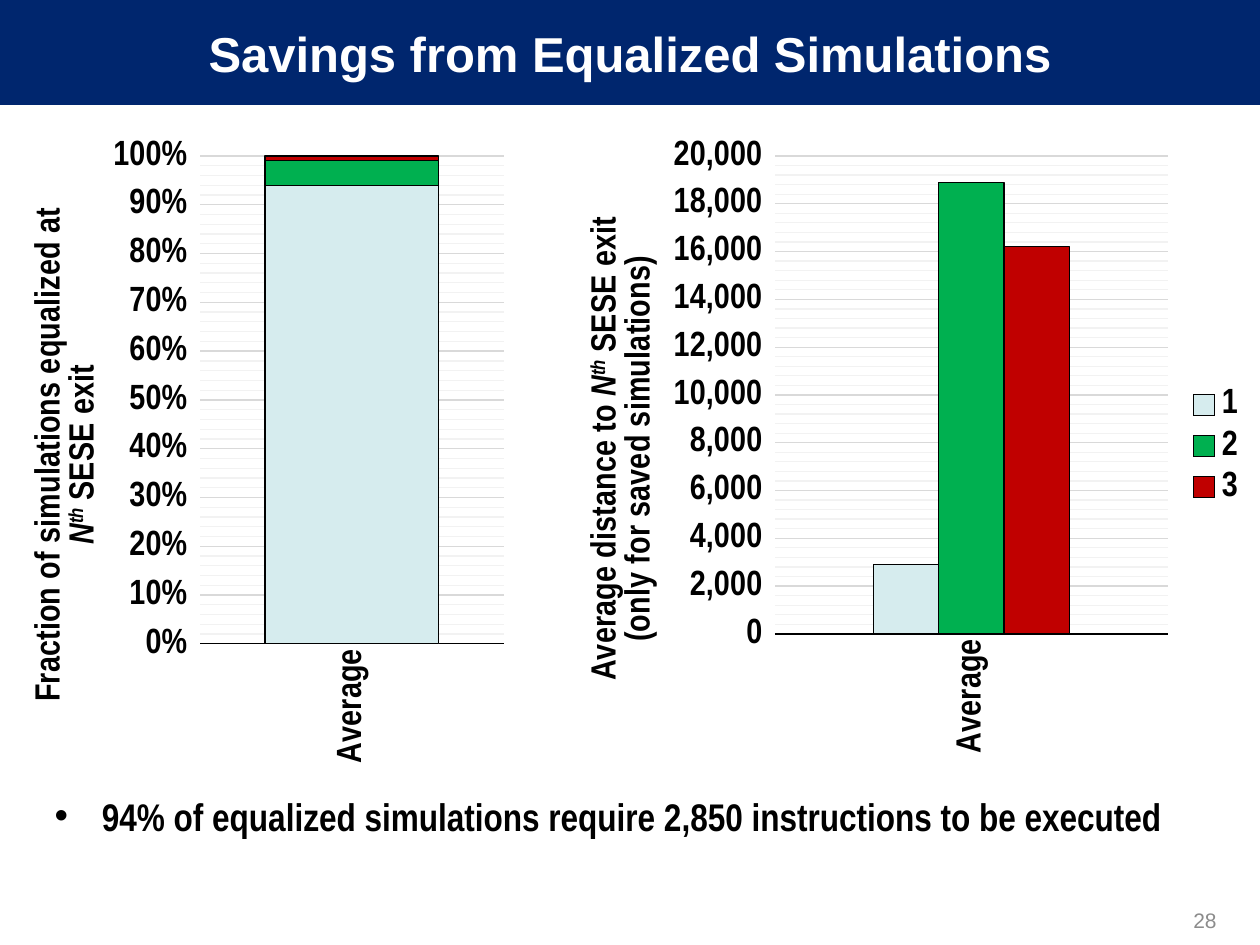
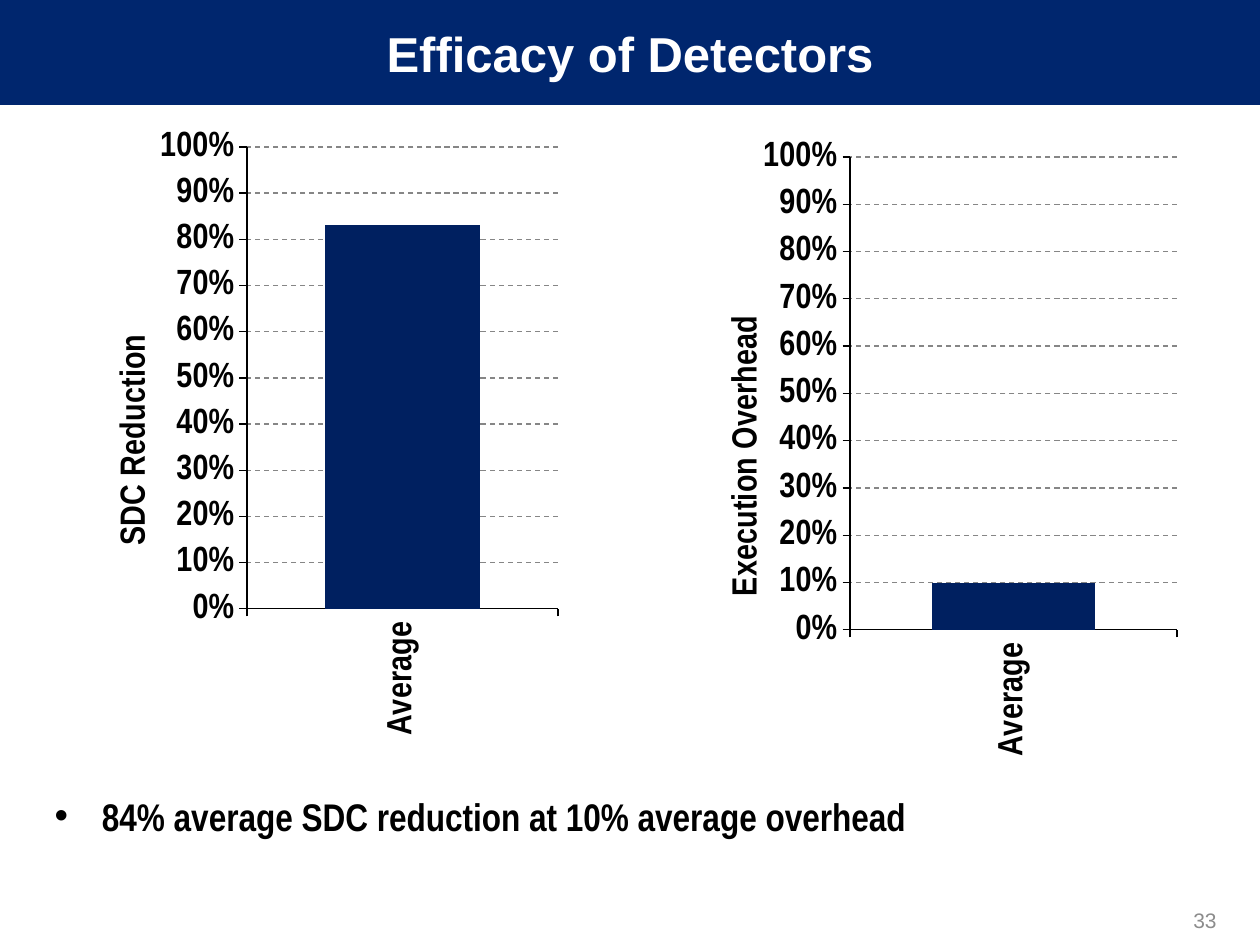
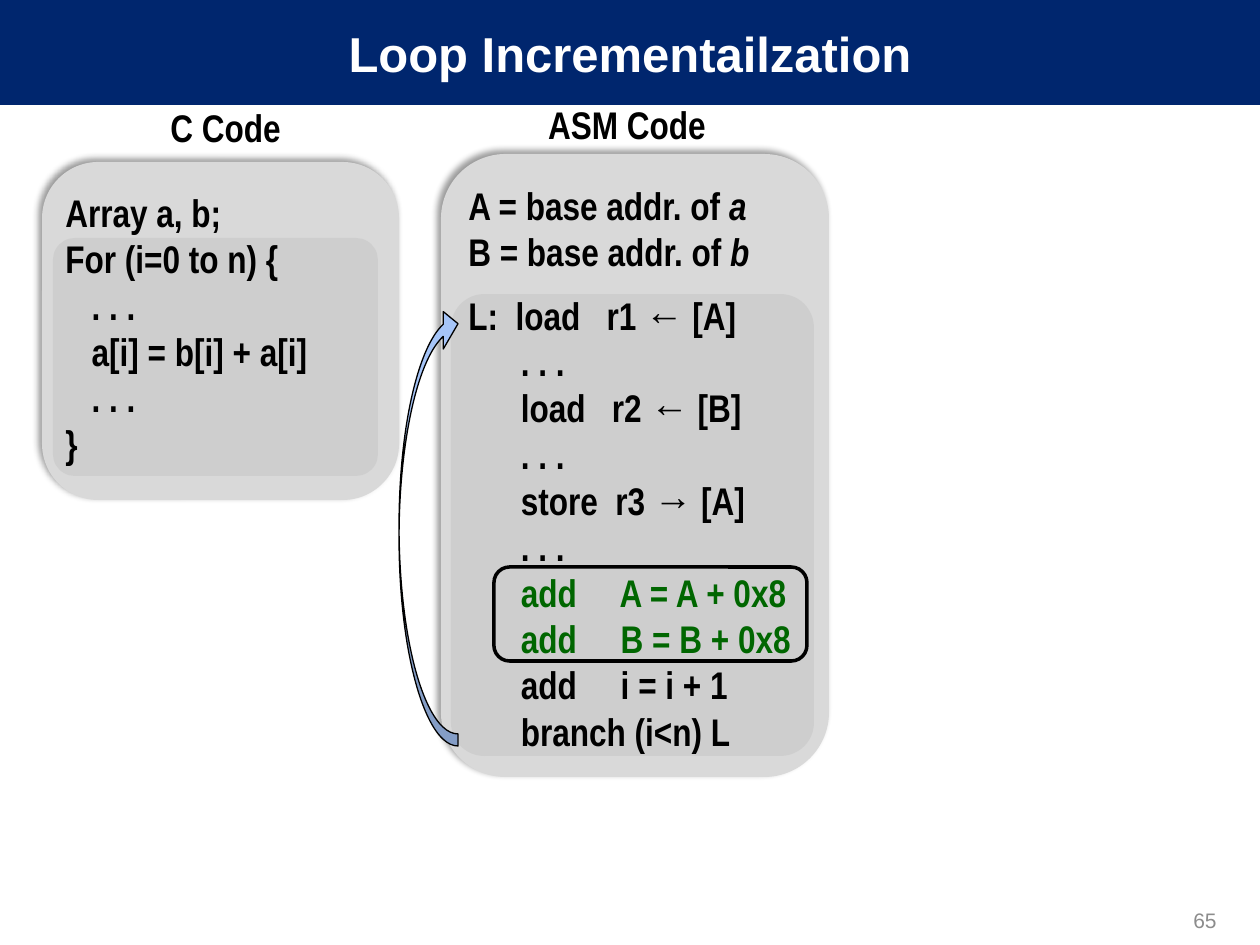
import copy
import dataclasses

import lxml.etree
import pptx
import pptx.chart.data
import pptx.dml.color
import pptx.enum.chart
import pptx.enum.dml
import pptx.enum.shapes
import pptx.enum.text
import pptx.oxml.ns
import pptx.util

EMU_PER_PX = 914400 / 126
SLIDE_SIZE = (1260, 945)
TITLE_BAND = (0, 0, 1260, 105)

qn = pptx.oxml.ns.qn
Align = pptx.enum.text.PP_ALIGN
Anchor = pptx.enum.text.MSO_ANCHOR
ChartType = pptx.enum.chart.XL_CHART_TYPE
Shape = pptx.enum.shapes.MSO_SHAPE


@dataclasses.dataclass(frozen=True)
class Theme:
    heading_font: str = "Arial"
    body_font: str = "Arial Narrow"
    band: str = "00266E"
    white: str = "FFFFFF"
    black: str = "000000"
    page_number: str = "8C8C8C"
    pale: str = "D6ECEE"
    green: str = "00B050"
    red: str = "C00000"
    navy: str = "002060"
    major_grid: str = "D9D9D9"
    minor_grid: str = "F2F2F2"
    dashed_grid: str = "868686"
    panel: str = "D9D9D9"
    loop: str = "BFBFBF"
    arrow: str = "A6C5F8"
    increment: str = "006600"
    title_size: int = 28
    body_size: int = 22
    chart_size: int = 20
    page_size: int = 12


def px(length):
    return pptx.util.Emu(round(length * EMU_PER_PX))


def rgb(color):
    return pptx.dml.color.RGBColor.from_string(color)


def style_font(font, name, size, color, bold=True):
    font.name = name
    font.size = pptx.util.Pt(size)
    font.bold = bold
    font.color.rgb = rgb(color)


def style_line(line, color, width=0.75):
    if color is None:
        line.fill.background()
    else:
        line.color.rgb = rgb(color)
        line.width = pptx.util.Pt(width)


def write_runs(paragraph, runs):
    for text, emphasis in runs:
        run = paragraph.add_run()
        run.text = text
        if emphasis:
            run.font.italic = True
        if emphasis == "superscript":
            run.font._element.set("baseline", "30000")


def plain(text):
    return [(text, None)]


def turn_upright(element):
    body = element.find(".//" + qn("a:bodyPr"))
    body.set("rot", "-5400000")
    body.set("vert", "horz")


def add_minor_gridlines(axis, color):
    axis.has_minor_gridlines = True
    major = axis._element.find(qn("c:majorGridlines"))
    minor = axis._element.find(qn("c:minorGridlines"))
    properties = copy.deepcopy(major.find(qn("c:spPr")))
    properties.find(".//" + qn("a:srgbClr")).set("val", color)
    minor.append(properties)


def set_layout(parent, index, values):
    layout = parent.find(qn("c:layout"))
    if layout is None:
        layout = lxml.etree.Element(qn("c:layout"))
        parent.insert(index, layout)
    manual = lxml.etree.SubElement(layout, qn("c:manualLayout"))
    for name, value in values:
        lxml.etree.SubElement(manual, qn(f"c:{name}")).set("val", str(value))


class Deck:
    def __init__(self, theme):
        self.theme = theme
        self.presentation = pptx.Presentation()
        self.presentation.slide_width, self.presentation.slide_height = map(px, SLIDE_SIZE)
        self.slide = None

    def start_slide(self, title, number, layout):
        theme = self.theme
        self.slide = self.presentation.slides.add_slide(self.presentation.slide_layouts[layout])
        if len(self.presentation.slides) == 1:
            band = self.shape(Shape.RECTANGLE, TITLE_BAND, theme.band)
            self.presentation.slide_master.shapes.element.insert(2, band._element)
        heading = self.slide.shapes.title
        self.fill_placeholder(heading, TITLE_BAND, title, Anchor.MIDDLE)
        paragraph = heading.text_frame.paragraphs[0]
        paragraph.alignment = Align.CENTER
        style_font(paragraph.font, theme.heading_font, theme.title_size, theme.white)
        page = self.slide.shapes.add_textbox(*map(px, (935, 895, 294, 50)))
        page.text_frame.word_wrap = True
        page.text_frame.vertical_anchor = Anchor.MIDDLE
        paragraph = page.text_frame.paragraphs[0]
        paragraph.text = str(number)
        paragraph.alignment = Align.RIGHT
        style_font(paragraph.font, theme.heading_font, theme.page_size, theme.page_number, False)

    def fill_placeholder(self, shape, box, text, anchor):
        shape.left, shape.top, shape.width, shape.height = map(px, box)
        shape.text_frame.text = text
        shape.text_frame.vertical_anchor = anchor
        shape.text_frame.auto_size = pptx.enum.text.MSO_AUTO_SIZE.NONE

    def bullet(self, text):
        shape = self.slide.placeholders[1]
        self.fill_placeholder(shape, (42, 777, 1187, 116), text, Anchor.TOP)
        paragraph = shape.text_frame.paragraphs[0]
        paragraph.line_spacing = 1.2
        paragraph.space_before = pptx.util.Pt(0)
        self.body_font(paragraph)

    def body_font(self, paragraph, color=None):
        theme = self.theme
        style_font(paragraph.font, theme.body_font, theme.body_size, color or theme.black)

    def chart_font(self, font):
        style_font(font, self.theme.body_font, self.theme.chart_size, self.theme.black)

    def text(self, box, lines, align=Align.LEFT, wrap=False, colors=None, gaps=None):
        frame = self.slide.shapes.add_textbox(*map(px, box)).text_frame
        frame.word_wrap = wrap
        for index, runs in enumerate(lines):
            paragraph = frame.add_paragraph() if index else frame.paragraphs[0]
            paragraph.alignment = align
            if gaps and index in gaps:
                paragraph.space_before = pptx.util.Pt(gaps[index])
            write_runs(paragraph, runs)
            self.body_font(paragraph, (colors or {}).get(index))

    def shape(self, kind, box, fill=None, line=None, width=0.75, adjustments=(), alpha=None):
        shape = self.slide.shapes.add_shape(kind, *map(px, box))
        shape.shadow.inherit = False
        for index, value in enumerate(adjustments):
            shape.adjustments[index] = value
        if fill:
            shape.fill.solid()
            shape.fill.fore_color.rgb = rgb(fill)
        else:
            shape.fill.background()
        if alpha:
            color = shape._element.spPr.find(".//" + qn("a:srgbClr"))
            lxml.etree.SubElement(color, qn("a:alpha")).set("val", str(alpha * 1000))
        style_line(shape.line, line, width)
        return shape

    def code_panel(self, panel_box, loop_box):
        panel = self.shape(Shape.ROUNDED_RECTANGLE, panel_box, self.theme.panel)
        effects = panel._element.spPr.find(qn("a:effectLst"))
        shadow = lxml.etree.SubElement(effects, qn("a:outerShdw"))
        for name, value in (("blurRad", 4 * 12700), ("dist", 3 * 12700), ("dir", 225 * 60000)):
            shadow.set(name, str(value))
        color = lxml.etree.SubElement(shadow, qn("a:srgbClr"))
        color.set("val", self.theme.black)
        lxml.etree.SubElement(color, qn("a:alpha")).set("val", "40000")
        self.shape(Shape.ROUNDED_RECTANGLE, loop_box, self.theme.loop,
                   adjustments=(0.092,), alpha=40)

    def column_chart(self, kind, box, plot_box, title, title_at, series, maximum, step,
                     gap, number_format="0%", dashed=False, legend=False):
        theme = self.theme
        data = pptx.chart.data.CategoryChartData()
        data.categories = ["Average"]
        for name, value, _ in series:
            data.add_series(name, [value])
        chart = self.slide.shapes.add_chart(kind, *map(px, box), data).chart
        chart.has_title = False
        self.chart_font(chart.font)
        chart.has_legend = legend
        if legend:
            chart.legend.position = pptx.enum.chart.XL_LEGEND_POSITION.RIGHT
            chart.legend.include_in_layout = False
            self.chart_font(chart.legend.font)

        plot = chart.plots[0]
        plot.vary_by_categories = False
        plot.gap_width = gap
        plot.overlap = 0 if kind == ChartType.COLUMN_CLUSTERED else 100
        for item, (_, _, color) in zip(plot.series, series):
            item.format.fill.solid()
            item.format.fill.fore_color.rgb = rgb(color)
            style_line(item.format.line, None if dashed else theme.black)

        category_axis, value_axis = chart.category_axis, chart.value_axis
        for axis in (category_axis, value_axis):
            self.chart_font(axis.tick_labels.font)
        turn_upright(category_axis._element)
        style_line(category_axis.format.line, theme.black)
        style_line(value_axis.format.line, theme.black if dashed else None)
        value_axis.minimum_scale = 0
        value_axis.maximum_scale = maximum
        value_axis.major_unit = step
        value_axis.tick_labels.number_format = number_format
        value_axis.tick_labels.number_format_is_linked = False
        value_axis.has_major_gridlines = True
        grid = value_axis.major_gridlines.format.line
        if dashed:
            style_line(grid, theme.dashed_grid)
            grid.dash_style = pptx.enum.dml.MSO_LINE.DASH
        else:
            category_axis.major_tick_mark = pptx.enum.chart.XL_TICK_MARK.NONE
            style_line(grid, theme.major_grid)
            value_axis.minor_unit = step / 5
            add_minor_gridlines(value_axis, theme.minor_grid)

        frame = value_axis.axis_title.text_frame
        for index, runs in enumerate(title):
            paragraph = frame.add_paragraph() if index else frame.paragraphs[0]
            write_runs(paragraph, runs)
            self.chart_font(paragraph.font)
        title_element = value_axis.axis_title._element
        turn_upright(title_element)

        left, top, width, height = box
        edges = [("xMode", "edge"), ("yMode", "edge")]
        set_layout(title_element, 1, edges + [
            ("x", (title_at[0] - left) / width), ("y", (title_at[1] - top) / height)])
        set_layout(chart.element.chart.plotArea, 0, [("layoutTarget", "inner")] + edges + [
            ("x", (plot_box[0] - left) / width), ("y", (plot_box[1] - top) / height),
            ("w", plot_box[2] / width), ("h", plot_box[3] / height)])


def add_savings(deck):
    theme = deck.theme
    deck.start_slide("Savings from Equalized Simulations", 28, 1)
    colors = (theme.pale, theme.green, theme.red)
    nth = [("N", "italic"), ("th", "superscript")]
    deck.column_chart(
        ChartType.COLUMN_STACKED_100, (0, 126, 514, 651), (200, 156, 304, 488),
        [plain("Fraction of simulations equalized at"), nth + plain(" SESE exit")], (27, 204),
        list(zip(("Series 1", "Series 2", "Series 3"), (94, 5, 1), colors)),
        maximum=1, step=0.1, gap=75)
    deck.column_chart(
        ChartType.COLUMN_CLUSTERED, (557, 126, 703, 640), (775, 156, 393, 478),
        [plain("Average distance to ") + nth + plain(" SESE exit"),
         plain("(only for saved simulations)")], (583, 213),
        list(zip("123", (2900, 18900, 16200), colors)),
        maximum=20000, step=2000, gap=300, number_format="#,##0", legend=True)
    deck.bullet("94% of equalized simulations require 2,850 instructions to be executed")


def add_efficacy(deck):
    deck.start_slide("Efficacy of Detectors", 33, 1)
    for title, value, box, plot_box, title_at in (
        ("SDC Reduction", 0.83, (95, 126, 504, 682), (247, 147, 311, 462), (108, 328)),
        ("Execution Overhead", 0.1, (711, 136, 508, 683), (850, 157, 327, 473), (720, 309)),
    ):
        deck.column_chart(
            ChartType.COLUMN_STACKED, box, plot_box, [plain(title)], title_at,
            [("Series 1", value, deck.theme.navy)],
            maximum=1, step=0.1, gap=100, dashed=True)
    deck.bullet("84% average SDC reduction at 10% average overhead")


def add_loop(deck):
    theme = deck.theme
    deck.start_slide("Loop Incrementailzation", 65, 5)
    assembly = [
        [("A = base addr. of ", None), ("a", "italic")],
        [("B = base addr. of ", None), ("b", "italic")],
    ] + [plain(line) for line in (
        "L:  load   r1 ← [A]",
        "      . . .",
        "      load   r2 ← [B]",
        "      . . .",
        "      store  r3 → [A]",
        "      . . .",
        "      add     A = A + 0x8",
        "      add     B = B + 0x8",
        "      add     i = i + 1",
        "      branch (i<n) L",
    )]
    source = [plain(line) for line in (
        "Array a, b;",
        "For (i=0 to n) {",
        "   . . .",
        "   a[i] = b[i] + a[i]",
        "   . . .",
        "}",
    )]
    deck.code_panel((441, 154, 388, 623), (451, 294, 363, 462))
    deck.text((456, 176, 350, 591), assembly, gaps={2: 10},
              colors={8: theme.increment, 9: theme.increment})
    deck.code_panel((42, 162, 357, 338), (53, 238, 325, 238))
    deck.text((53, 183, 346, 292), source, wrap=True)
    deck.text((157, 98, 137, 59), [plain("C Code")], Align.CENTER)
    deck.text((535, 95, 184, 59), [plain("ASM Code")], Align.CENTER)
    back_edge = deck.shape(Shape.CURVED_LEFT_ARROW, (399, 305, 59, 441), theme.arrow,
                           theme.black, adjustments=(0.205, 0.634, 0.25))
    back_edge.rotation = 180
    deck.shape(Shape.ROUNDED_RECTANGLE, (494, 567, 313, 94), line=theme.black, width=2)


def main():
    deck = Deck(Theme())
    add_savings(deck)
    add_efficacy(deck)
    add_loop(deck)
    deck.presentation.save("out.pptx")


if __name__ == "__main__":
    main()
